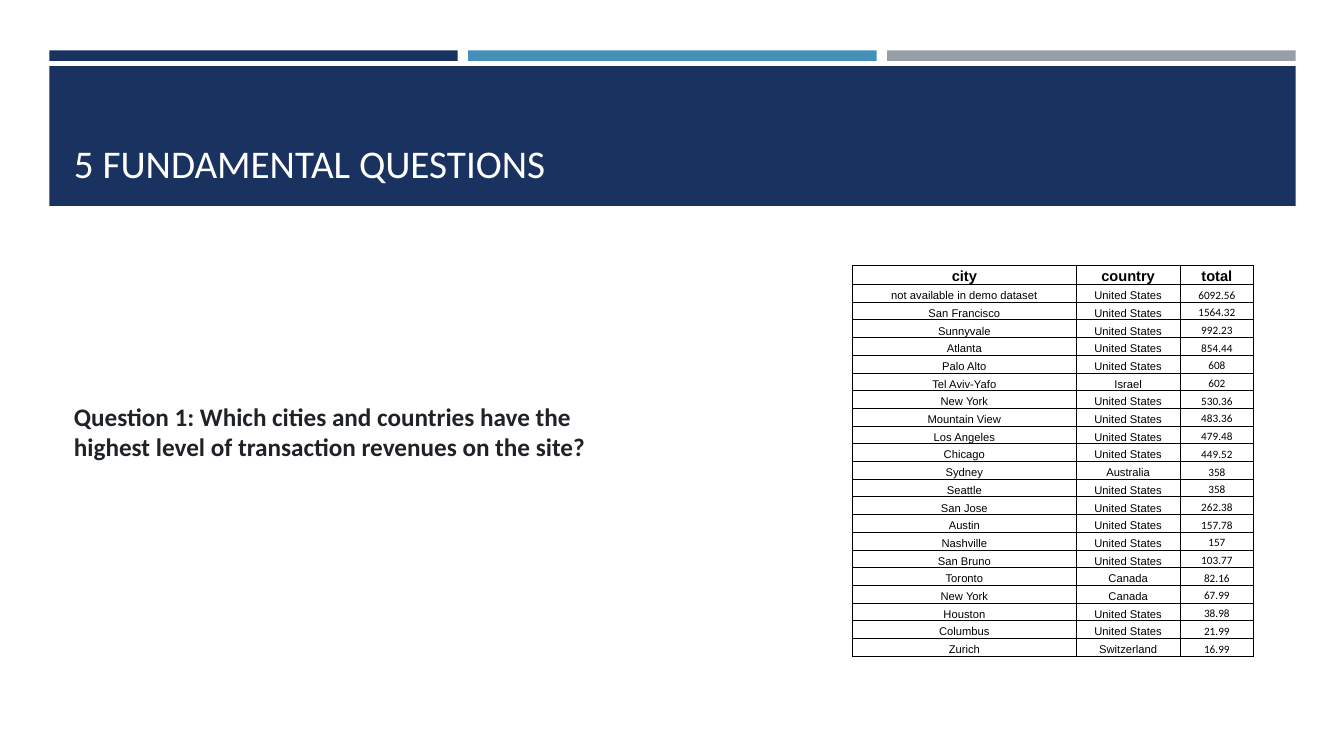
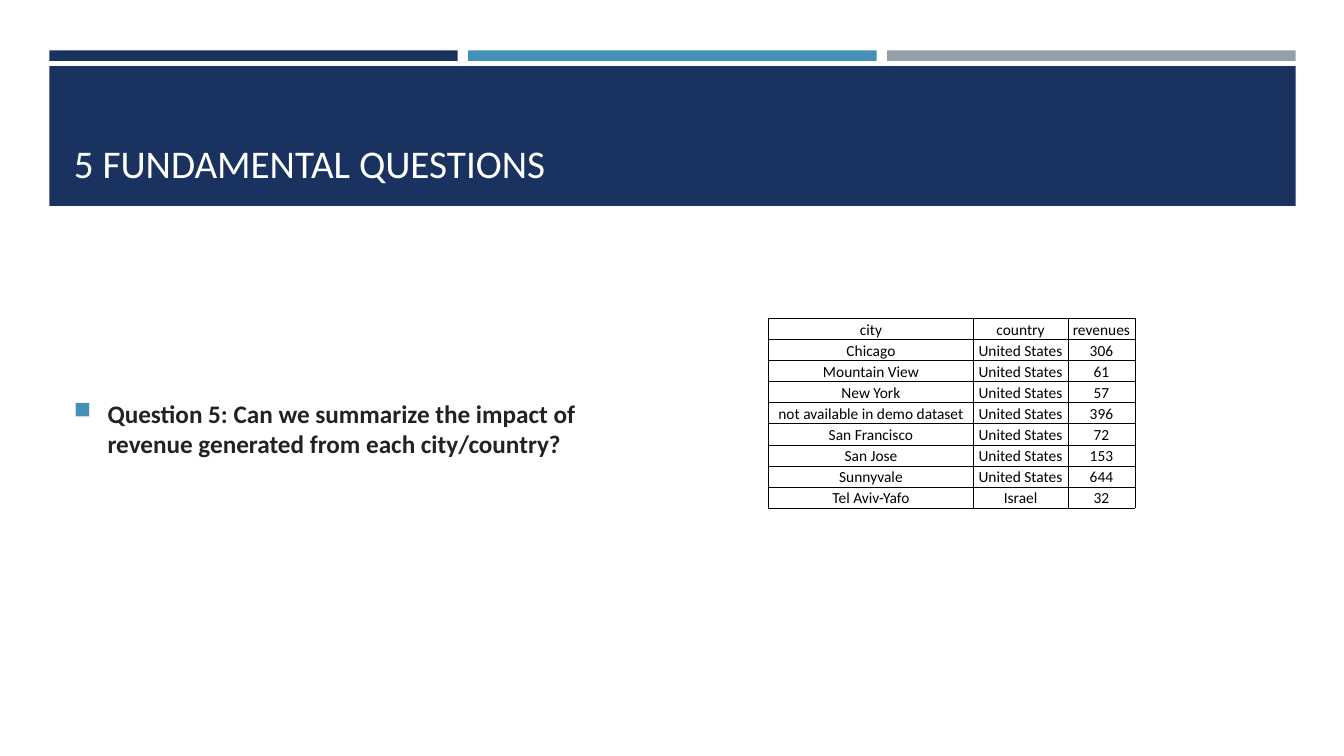
from dataclasses import dataclass

from lxml import etree
from pptx import Presentation
from pptx.dml.color import RGBColor
from pptx.enum.shapes import MSO_SHAPE
from pptx.enum.text import MSO_ANCHOR, PP_ALIGN
from pptx.oxml.ns import qn
from pptx.util import Emu, Pt

RECT = MSO_SHAPE.RECTANGLE
BOTTOM, MIDDLE = MSO_ANCHOR.BOTTOM, MSO_ANCHOR.MIDDLE
LEFT, CENTER = PP_ALIGN.LEFT, PP_ALIGN.CENTER
EMU_PER_PX = 9525


@dataclass(frozen=True)
class Theme:
    navy: str = "1A3260"
    blue: str = "4590B8"
    gray: str = "969FA7"
    white: str = "FFFFFF"
    ink: str = "1F2328"
    black: str = "000000"
    sans: str = "Calibri"
    grid_sans: str = "Arial"
    title_size: float = 28
    body_size: float = 18
    border_width: float = 0.5
    bullet_percent: int = 92


@dataclass(frozen=True)
class Box:
    x: int
    y: int
    w: int
    h: int


@dataclass(frozen=True)
class CellStyle:
    font: str
    size: float
    bold: bool = False


@dataclass(frozen=True)
class Grid:
    box: Box
    columns: tuple[int, ...]
    rows: tuple[tuple[str, ...], ...]
    header: CellStyle
    label: CellStyle
    number: CellStyle


@dataclass(frozen=True)
class Question:
    text: str
    box: Box
    bulleted: bool
    grid: Grid


THEME = Theme()
TITLE = "5 FUNDAMENTAL QUESTIONS"
TITLE_BOX = Box(61, 77, 1158, 105)
BAND = Box(47, 63, 1187, 133)
BAR_Y, BAR_W, BAR_H = 48, 389, 10
BULLET_INDENT = 32

REVENUE_ROWS = (
    ("city", "country", "total"),
    ("not available in demo dataset", "United States", "6092.56"),
    ("San Francisco", "United States", "1564.32"),
    ("Sunnyvale", "United States", "992.23"),
    ("Atlanta", "United States", "854.44"),
    ("Palo Alto", "United States", "608"),
    ("Tel Aviv-Yafo", "Israel", "602"),
    ("New York", "United States", "530.36"),
    ("Mountain View", "United States", "483.36"),
    ("Los Angeles", "United States", "479.48"),
    ("Chicago", "United States", "449.52"),
    ("Sydney", "Australia", "358"),
    ("Seattle", "United States", "358"),
    ("San Jose", "United States", "262.38"),
    ("Austin", "United States", "157.78"),
    ("Nashville", "United States", "157"),
    ("San Bruno", "United States", "103.77"),
    ("Toronto", "Canada", "82.16"),
    ("New York", "Canada", "67.99"),
    ("Houston", "United States", "38.98"),
    ("Columbus", "United States", "21.99"),
    ("Zurich", "Switzerland", "16.99"),
)

IMPACT_ROWS = (
    ("city", "country", "revenues"),
    ("Chicago", "United States", "306"),
    ("Mountain View", "United States", "61"),
    ("New York", "United States", "57"),
    ("not available in demo dataset", "United States", "396"),
    ("San Francisco", "United States", "72"),
    ("San Jose", "United States", "153"),
    ("Sunnyvale", "United States", "644"),
    ("Tel Aviv-Yafo", "Israel", "32"),
)

IMPACT_STYLE = CellStyle(THEME.sans, 11)

QUESTIONS = (
    Question(
        "Question 1: Which cities and countries have the highest level of "
        "transaction revenues on the site?",
        Box(61, 234, 540, 354),
        False,
        Grid(
            Box(812, 253, 382, 371), (213, 99, 70), REVENUE_ROWS,
            header=CellStyle(THEME.grid_sans, 10.5, bold=True),
            label=CellStyle(THEME.grid_sans, 8),
            number=CellStyle(THEME.sans, 8),
        ),
    ),
    Question(
        "Question 5: Can we summarize the impact of revenue generated "
        "from each city/country?",
        Box(61, 234, 540, 348),
        True,
        Grid(
            Box(732, 303, 349, 181), (195, 90, 64), IMPACT_ROWS,
            header=IMPACT_STYLE, label=IMPACT_STYLE, number=IMPACT_STYLE,
        ),
    ),
)


def px(n: float) -> Emu:
    return Emu(round(n * EMU_PER_PX))


def place(box: Box) -> tuple[Emu, Emu, Emu, Emu]:
    return px(box.x), px(box.y), px(box.w), px(box.h)


def write(tf, text: str, *, font: str, size: float, color: str,
          bold: bool = False, align=LEFT):
    """Write text as the first paragraph of a text frame and return it."""
    tf.word_wrap = True
    p = tf.paragraphs[0]
    p.alignment = align
    r = p.add_run()
    r.text = text
    r.font.name = font
    r.font.size = Pt(size)
    r.font.bold = bold
    r.font.color.rgb = RGBColor.from_string(color)
    return p


def add_rect(s, box: Box, color: str) -> None:
    sp = s.shapes.add_shape(RECT, *place(box))
    sp.shadow.inherit = False
    sp.fill.solid()
    sp.fill.fore_color.rgb = RGBColor.from_string(color)
    sp.line.fill.background()


def add_text(s, box: Box, text: str, *, anchor, **fmt):
    tf = s.shapes.add_textbox(*place(box)).text_frame
    tf.vertical_anchor = anchor
    return write(tf, text, **fmt)


def add_bullet(p) -> None:
    pPr = p._p.get_or_add_pPr()
    pPr.set("marL", str(px(BULLET_INDENT)))
    pPr.set("indent", str(-px(BULLET_INDENT)))
    color = etree.SubElement(pPr, qn("a:buClr"))
    etree.SubElement(color, qn("a:srgbClr"), val=THEME.blue)
    etree.SubElement(pPr, qn("a:buSzPct"), val=str(THEME.bullet_percent * 1000))
    etree.SubElement(pPr, qn("a:buChar"), char="■")


def add_borders(cell) -> None:
    tcPr = cell._tc.get_or_add_tcPr()
    for side in ("lnL", "lnR", "lnT", "lnB"):
        ln = etree.SubElement(tcPr, qn(f"a:{side}"), w=str(Pt(THEME.border_width)))
        fill = etree.SubElement(ln, qn("a:solidFill"))
        etree.SubElement(fill, qn("a:srgbClr"), val=THEME.black)


def fill_cell(cell, text: str, style: CellStyle) -> None:
    cell.margin_left = cell.margin_right = cell.margin_top = px(1)
    cell.margin_bottom = 0
    cell.vertical_anchor = BOTTOM
    add_borders(cell)
    cell.fill.background()
    write(cell.text_frame, text, font=style.font, size=style.size,
          color=THEME.black, bold=style.bold, align=CENTER)


def add_grid(s, grid: Grid) -> None:
    n_rows, n_cols = len(grid.rows), len(grid.columns)
    table = s.shapes.add_table(n_rows, n_cols, *place(grid.box)).table
    table.first_row = table.horz_banding = False
    for column, width in zip(table.columns, grid.columns):
        column.width = px(width)
    for i, values in enumerate(grid.rows):
        table.rows[i].height = px(grid.box.h / n_rows)
        for j, text in enumerate(values):
            if i == 0:
                style = grid.header
            else:
                style = grid.number if j == n_cols - 1 else grid.label
            fill_cell(table.cell(i, j), text, style)


def add_frame(s) -> None:
    """Draw the three bars, the title band and the title."""
    colors = (THEME.navy, THEME.blue, THEME.gray)
    step = (BAND.w - BAR_W) // (len(colors) - 1)
    for i, color in enumerate(colors):
        add_rect(s, Box(BAND.x + i * step, BAR_Y, BAR_W, BAR_H), color)
    add_rect(s, BAND, THEME.navy)
    add_text(s, TITLE_BOX, TITLE, anchor=BOTTOM, font=THEME.sans,
             size=THEME.title_size, color=THEME.white)


def add_question(prs, question: Question) -> None:
    s = prs.slides.add_slide(prs.slide_layouts[6])
    add_frame(s)
    p = add_text(s, question.box, question.text, anchor=MIDDLE, font=THEME.sans,
                 size=THEME.body_size, color=THEME.ink, bold=True)
    if question.bulleted:
        add_bullet(p)
    add_grid(s, question.grid)


def main() -> None:
    prs = Presentation()
    prs.slide_width, prs.slide_height = px(1280), px(720)
    for question in QUESTIONS:
        add_question(prs, question)
    prs.save("out.pptx")


if __name__ == "__main__":
    main()
